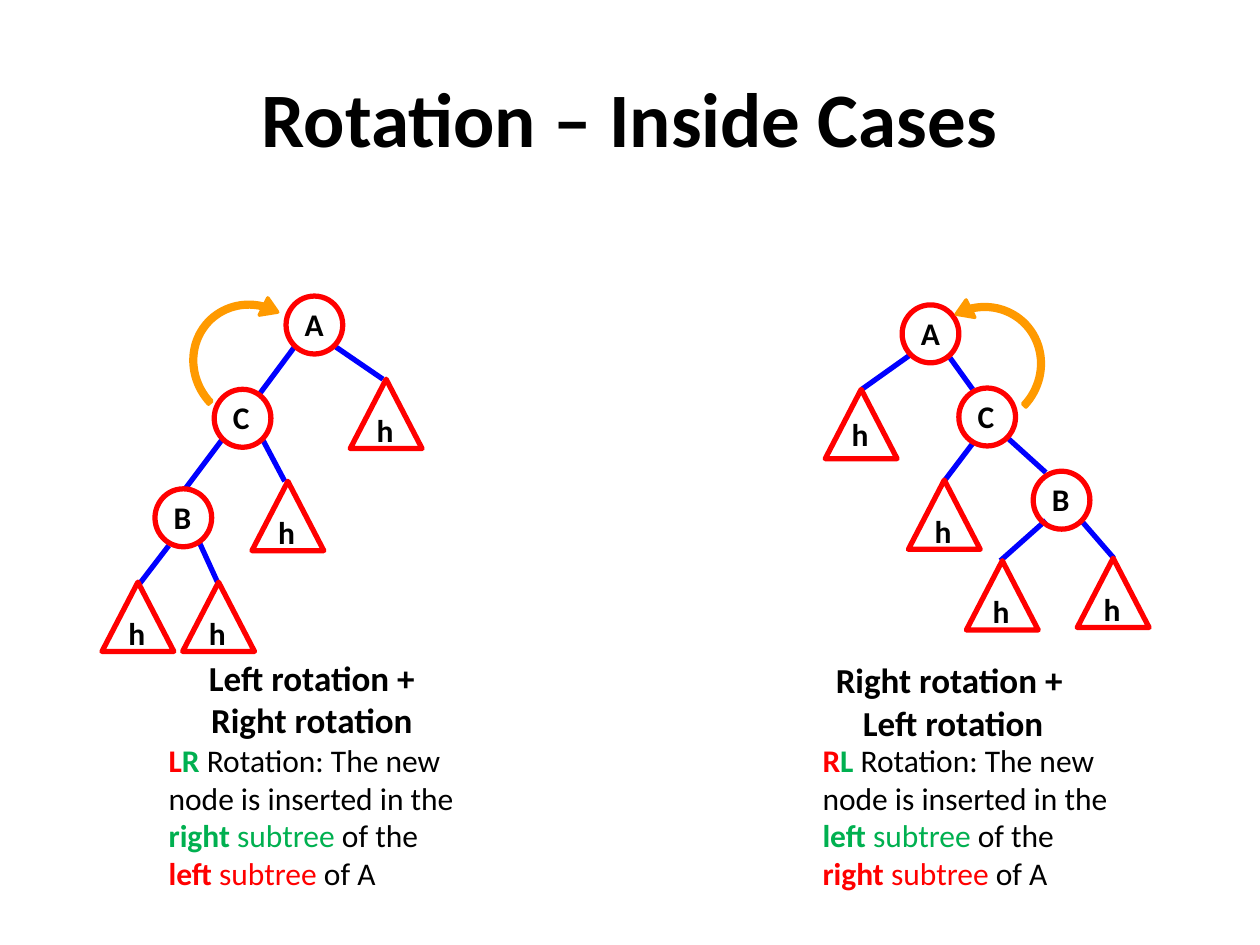
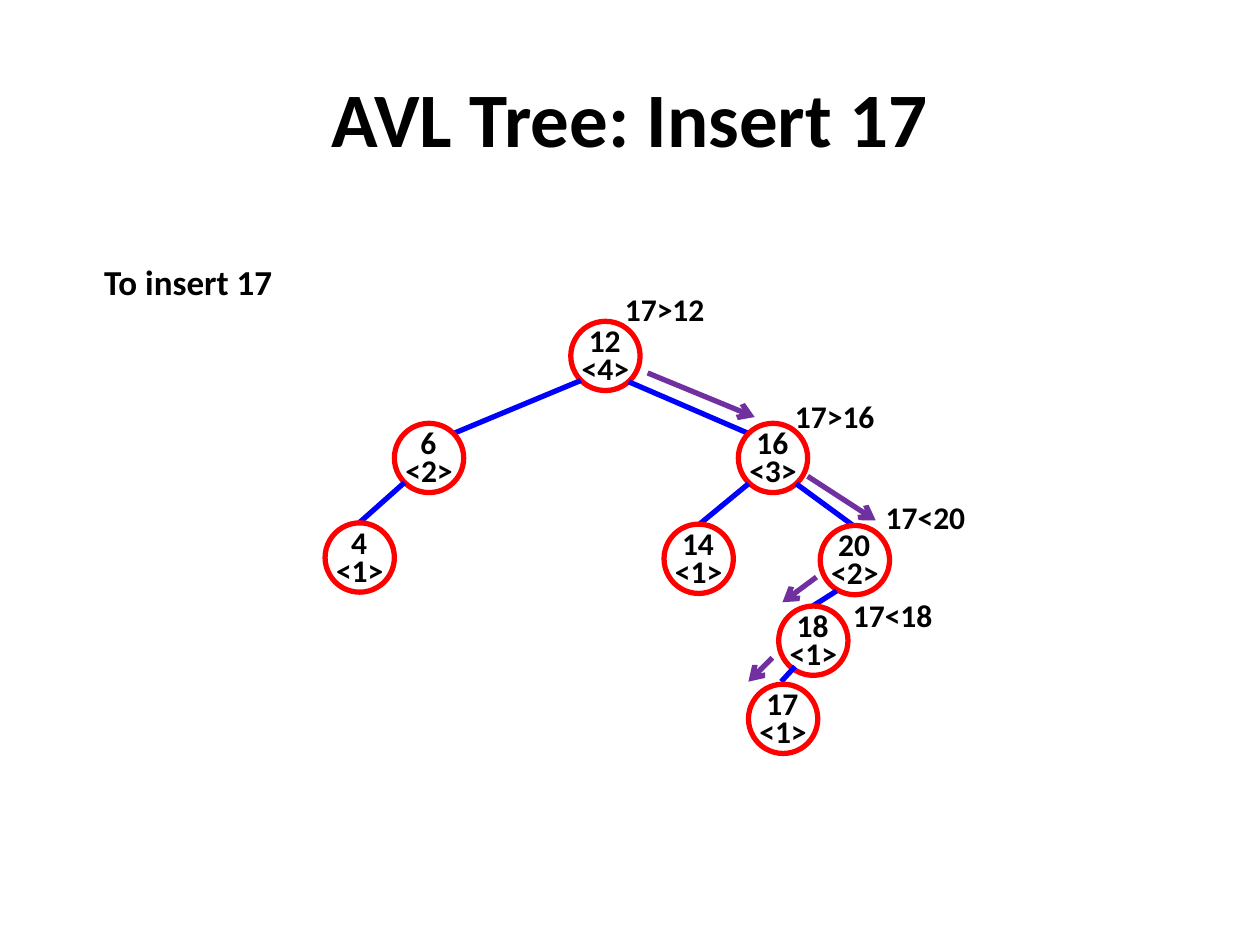
from dataclasses import dataclass

from lxml.etree import SubElement
from pptx import Presentation
from pptx.dml.color import RGBColor as RGB
from pptx.enum.shapes import MSO_CONNECTOR as Link, MSO_SHAPE as Kind
from pptx.enum.text import MSO_ANCHOR as Anchor, MSO_AUTO_SIZE as Fit, PP_ALIGN as Align
from pptx.oxml.ns import qn
from pptx.util import Emu, Pt

PX = 9144  # 100 px to the inch


def px(*nums):
    return [Emu(n * PX) for n in nums]


@dataclass(frozen=True)
class Theme:
    font: str = "Calibri"
    ink: RGB = RGB(0, 0, 0)
    paper: RGB = RGB(255, 255, 255)
    red: RGB = RGB(255, 0, 0)
    green: RGB = RGB(0, 176, 80)
    blue: RGB = RGB(0, 0, 255)
    purple: RGB = RGB(112, 48, 160)
    orange: RGB = RGB(255, 154, 0)
    title: int = 44
    head: int = 20
    body: int = 18
    line: int = 3


class Deck:
    def __init__(self, theme):
        self.theme = theme
        self.show = Presentation()
        self.show.slide_width, self.show.slide_height = px(1000, 750)
        self.slide = None

    def page(self, title):
        self.slide = self.show.slides.add_slide(self.show.slide_layouts[5])
        box = self.slide.shapes.title
        box.left, box.top, box.width, box.height = px(50, 30, 900, 125)
        box.text_frame.vertical_anchor = Anchor.MIDDLE
        self.letter(box.text_frame.paragraphs[0], title, self.theme.title, Align.CENTER)

    def letter(self, par, text, size, align):
        """Fill a paragraph from a string, or from (text, colour, bold) parts."""
        if isinstance(text, str):
            text = [(text, self.theme.ink, True)]
        par.alignment = align
        for part, color, bold in text:
            for i, row in enumerate(part.split("\n")):
                if i:
                    par.add_line_break()
                run = par.add_run()
                run.text = row
                look = {"name": self.theme.font, "size": Pt(size), "bold": bold}
                for key, val in look.items():
                    setattr(run.font, key, val)
                run.font.color.rgb = color

    def text(self, text, x, y, w, h, pad=(0, 0), size=None, align=Align.CENTER):
        frame = self.slide.shapes.add_textbox(*px(x, y, w, h)).text_frame
        side, top = px(*pad)
        look = {"word_wrap": True, "auto_size": Fit.SHAPE_TO_FIT_TEXT,
                "margin_left": side, "margin_right": side,
                "margin_top": top, "margin_bottom": top}
        for key, val in look.items():
            setattr(frame, key, val)
        self.letter(frame.paragraphs[0], text, size or self.theme.body, align)

    def shape(self, kind, x, y, w, h, line, fill=None, width=None):
        item = self.slide.shapes.add_shape(kind, *px(x, y, w, h))
        item.shadow.inherit = False
        if fill is None:
            item.fill.background()
        else:
            item.fill.solid()
            item.fill.fore_color.rgb = fill
        item.line.color.rgb = line
        item.line.width = Pt(width or self.theme.line)
        return item

    def edge(self, ends, color=None, arrow=False):
        item = self.slide.shapes.add_connector(Link.STRAIGHT, *px(*ends))
        item.line.color.rgb = color or self.theme.blue
        item.line.width = Pt(self.theme.line)
        props = item.element.spPr
        if arrow:
            SubElement(props.find(qn("a:ln")), qn("a:tailEnd"), type="arrow")
        SubElement(props, qn("a:effectLst"))

    def node(self, name, x, y):
        self.shape(Kind.OVAL, x, y, 45, 46, self.theme.red)
        self.text(name, x + 5, y - 8, 32, 61, (10, 15), align=Align.LEFT)

    def leaf(self, x, y, drop=10):
        self.shape(Kind.ISOSCELES_TRIANGLE, x, y, 57, 55, self.theme.red)
        self.text("h", x + 11, y + drop, 45, 61, (10, 15), align=Align.LEFT)

    def count(self, key, high, x, y):
        """Draw a node that holds a key above its height."""
        self.shape(Kind.OVAL, x, y, 55, 55, self.theme.red, self.theme.paper)
        self.text(key, x + 10, y, 34, 30)
        self.text(f"<{high}>", x + 1, y + 22, 53, 30)

    def turn(self, x, y, w, h, angle, flip):
        color = self.theme.orange
        item = self.shape(Kind.CIRCULAR_ARROW, x, y, w, h, color, color, 2)
        for i, val in enumerate((0.035, 9.055, 194.768, 108, 0.072)):
            item.adjustments[i] = val
        item.rotation = angle
        if flip:
            item.element.spPr.find(qn("a:xfrm")).set("flipH", "1")

    def case(self, outer, inner, x, y, note, gap=""):
        """Name the two rotations, then say where the new node goes."""
        ink, red, green = self.theme.ink, self.theme.red, self.theme.green
        self.text([(outer[0].upper(), red, True), (inner[0].upper(), green, True),
                   (" Rotation: The new node is inserted in the ", ink, False),
                   (inner, green, True), (" subtree", green, False),
                   (" of the ", ink, False),
                   (outer, red, True), (" subtree", red, False), (" of A", ink, False)],
                  note, 583, 250, 131, (10, 5), align=Align.LEFT)
        self.text(f"{outer.title()} rotation +{gap}\n{inner.title()} rotation",
                  x, y, 297, 98, (10, 15), self.theme.head)


LEFT = {
    "edges": [(205, 314, 234, 275), (304, 301, 266, 275), (147, 388, 177, 348),
              (226, 382, 208, 348), (111, 463, 134, 433), (158, 430, 174, 465)],
    "nodes": [("A", 227, 235), ("C", 170, 309), ("B", 123, 388)],
    "leaves": [(278, 301), (200, 382), (81, 462), (145, 462)],
    "turn": (147, 233, 106, 111, 316.9, False),
    "case": ("left", "right", 99, 506, 124),
}
RIGHT = {
    "edges": [(684, 309, 722, 282), (772, 309, 754, 284), (750, 381, 772, 352),
              (799, 347, 830, 375), (794, 445, 830, 413), (884, 443, 858, 413)],
    "nodes": [("A", 716, 242), ("C", 761, 308), ("B", 820, 374)],
    "leaves": [(655, 309, 5), (721, 381), (767, 445), (855, 443)],
    "turn": (726, 235, 107, 111, 43.1, True),
    "case": ("right", "left", 608, 508, 643, " "),
}
# key, height, left, top, edge from the parent
KEYS = [
    ("12", 4, 453, 255, None),
    ("6", 2, 313, 336, (360, 344, 461, 302)),
    ("16", 3, 586, 336, (594, 344, 499, 303)),
    ("4", 1, 258, 415, (285, 415, 321, 383)),
    ("14", 1, 527, 416, (554, 417, 594, 384)),
    ("20", 2, 651, 417, (677, 417, 632, 384)),
    ("18", 1, 618, 481, (645, 481, 664, 469)),
    ("17", 1, 594, 543, (620, 541, 631, 529)),
]
STEPS = [(514, 296, 599, 331), (641, 378, 695, 413),
         (648, 458, 621, 478), (613, 522, 594, 541)]
TESTS = [("17>12", 485, 230), ("17>16", 620, 315),
         ("17<20", 692, 395), ("17<18", 666, 473)]


def cases(deck):
    deck.page("Rotation – Inside Cases")
    for tree in (LEFT, RIGHT):
        for ends in tree["edges"]:
            deck.edge(ends)
        for node in tree["nodes"]:
            deck.node(*node)
        for leaf in tree["leaves"]:
            deck.leaf(*leaf)
        deck.turn(*tree["turn"])
        deck.case(*tree["case"])


def insert(deck):
    deck.page("AVL Tree: Insert 17")
    deck.text("To insert 17", 1, 192, 297, 64, (10, 15), deck.theme.head)
    for key, high, x, y, ends in KEYS:
        if ends:
            deck.edge(ends)
        deck.count(key, high, x, y)
    for ends in STEPS:
        deck.edge(ends, deck.theme.purple, arrow=True)
    for test, x, y in TESTS:
        deck.text(test, x, y, 85, 30)


def main():
    deck = Deck(Theme())
    cases(deck)
    insert(deck)
    deck.show.save("out.pptx")


if __name__ == "__main__":
    main()
